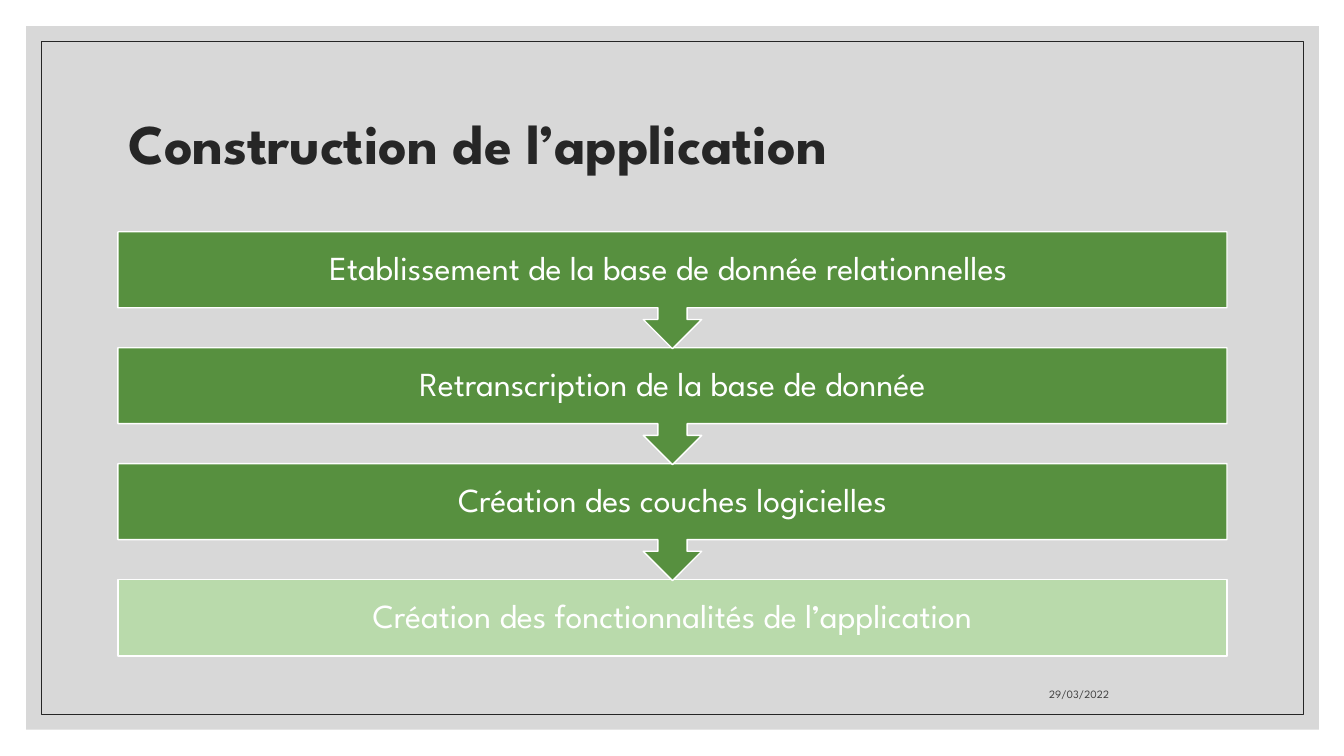
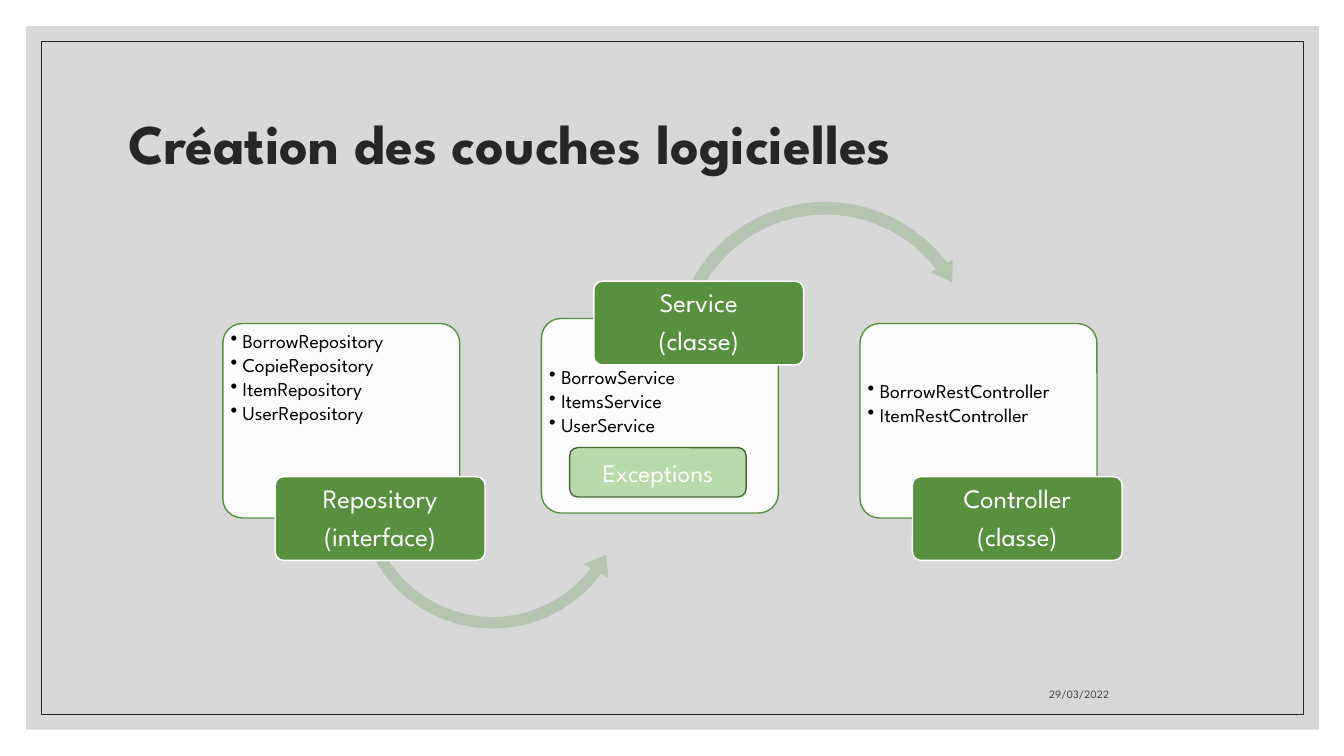
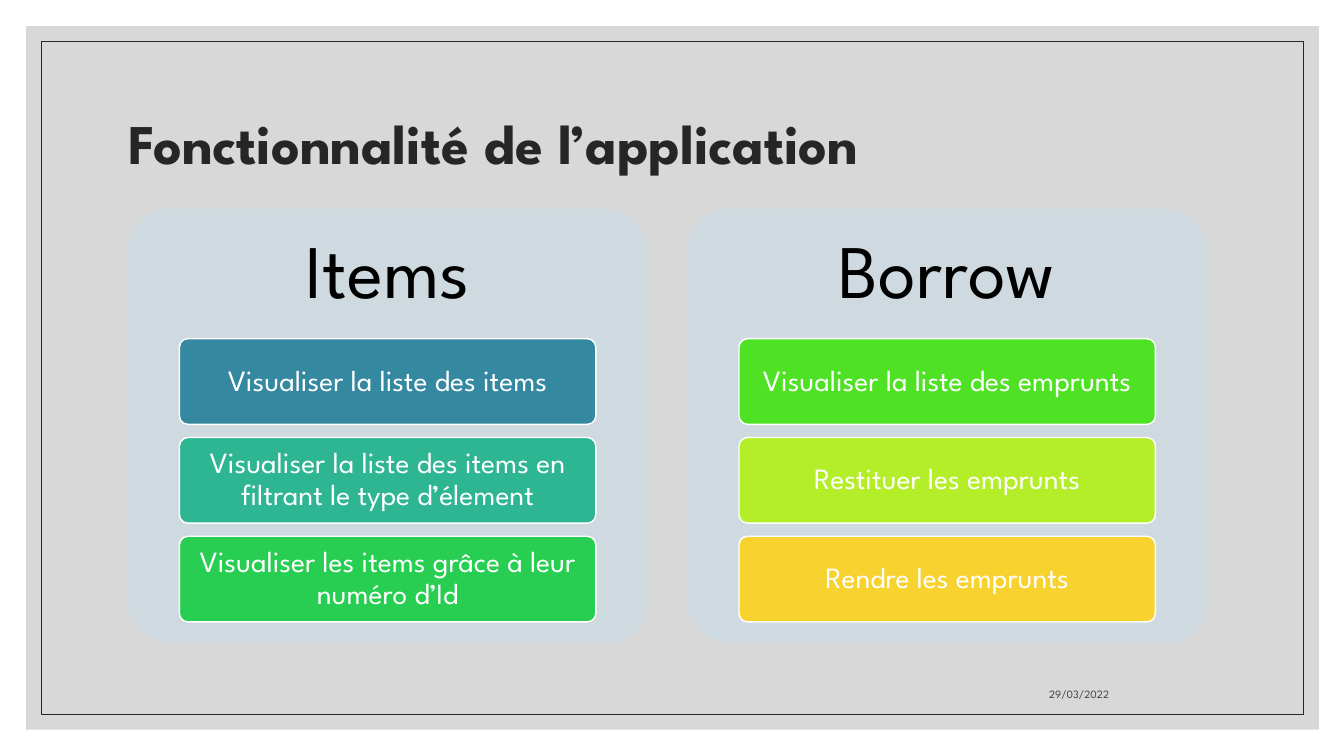
from dataclasses import dataclass

from lxml.etree import SubElement
from pptx import Presentation
from pptx.dml.color import RGBColor
from pptx.enum.shapes import MSO_SHAPE
from pptx.enum.text import MSO_ANCHOR, PP_ALIGN
from pptx.oxml.ns import qn
from pptx.util import Inches, Pt


@dataclass(frozen=True)
class Theme:
    font: str = "League Spartan"
    ink: str = "262626"
    muted: str = "404040"
    black: str = "000000"
    white: str = "FFFFFF"
    backdrop: str = "BFBFBF"
    green: str = "57903F"
    dark_green: str = "406B2F"
    light_green: str = "B9DAAB"
    arrow: str = "B4C6B0"
    panel: str = "CEDADF"
    title_size: int = 40
    heading_size: int = 54
    step_size: int = 24
    button_size: int = 21
    label_size: int = 19
    note_size: int = 18
    list_size: int = 14
    date_size: int = 8
    corner: float = 0.1
    tight: float = 0.9


class Builder:
    def __init__(self, theme, date):
        self.theme = theme
        self.date = date
        self.deck = Presentation()
        self.deck.slide_width = Inches(13.33)
        self.deck.slide_height = Inches(7.5)
        self.layout = self.deck.slide_layouts[5]
        self.page = None

    def add_page(self, title):
        theme = self.theme
        self.page = self.deck.slides.add_slide(self.layout)
        if len(self.deck.slides) == 1:
            self.frame_layout()
        box = self.page.shapes.title
        box.left, box.top, box.width, box.height = map(Inches, (1.17, 0.7, 11, 1.5))
        self.set_text(box, [title], theme.title_size, theme.ink, align=PP_ALIGN.LEFT)
        box.text_frame.paragraphs[0].font.bold = True
        self.text((7.94, 6.6, 3.16, 0.4), self.date, theme.date_size, theme.muted,
                  align=PP_ALIGN.RIGHT, anchor=MSO_ANCHOR.BOTTOM)

    def frame_layout(self):
        """Draw the backdrop and border, then move them to the shared layout."""
        backdrop = self.shape(MSO_SHAPE.RECTANGLE, (0.26, 0.26, 12.82, 6.98),
                              self.theme.backdrop, opacity=60)
        border = self.shape(MSO_SHAPE.RECTANGLE, (0.41, 0.41, 12.52, 6.68),
                            line=self.theme.ink, line_width=0.5)
        for index, part in enumerate((backdrop, border), start=2):
            self.layout.shapes.element.insert(index, part.element)

    def shape(self, kind, place, fill=None, line=None, line_width=1, opacity=100,
              adjustments=()):
        shape = self.page.shapes.add_shape(kind, *map(Inches, place))
        shape.shadow.inherit = False
        for index, value in enumerate(adjustments):
            shape.adjustments[index] = value
        if fill:
            shape.fill.solid()
            shape.fill.fore_color.rgb = RGBColor.from_string(fill)
        else:
            shape.fill.background()
        if opacity < 100:
            color = shape.element.find(f".//{qn('a:solidFill')}/{qn('a:srgbClr')}")
            SubElement(color, qn("a:alpha")).set("val", str(opacity * 1000))
        if line:
            shape.line.color.rgb = RGBColor.from_string(line)
            shape.line.width = Pt(line_width)
        else:
            shape.line.fill.background()
        return shape

    def set_text(self, box, lines, size, color, align=PP_ALIGN.CENTER,
                 anchor=MSO_ANCHOR.MIDDLE, insets=(0.1, 0.05, 0.1, 0.05),
                 spacing=Theme.tight, after=0):
        """Fill a shape with paragraphs; after is a share of the type size."""
        frame = box.text_frame
        frame.word_wrap = True
        frame.vertical_anchor = anchor
        (frame.margin_left, frame.margin_top,
         frame.margin_right, frame.margin_bottom) = map(Inches, insets)
        frame.text = "\n".join(lines)
        for para in frame.paragraphs:
            para.alignment = align
            para.line_spacing = spacing
            para.space_before = Pt(0)
            para.space_after = Pt(size * after)
            para.font.name = self.theme.font
            para.font.size = Pt(size)
            para.font.color.rgb = RGBColor.from_string(color)

    def text(self, place, words, size, color, **style):
        box = self.page.shapes.add_textbox(*map(Inches, place))
        self.set_text(box, [words], size, color, **style)

    def step(self, kind, place, words, fill):
        box = self.shape(kind, place, fill, self.theme.white)
        self.set_text(box, [words], self.theme.step_size, self.theme.white,
                      insets=(0.19,) * 4, after=0.35)

    def tile(self, place, lines, size, fill, insets):
        box = self.shape(MSO_SHAPE.ROUNDED_RECTANGLE, place, fill, self.theme.white,
                         adjustments=[self.theme.corner])
        self.set_text(box, lines, size, self.theme.white, insets=insets, after=0.35)

    def list_card(self, place, items, top_inset):
        theme = self.theme
        card = self.shape(MSO_SHAPE.ROUNDED_RECTANGLE, place, theme.white, theme.green,
                          opacity=90, adjustments=[theme.corner])
        self.set_text(card, items, theme.list_size, theme.black, PP_ALIGN.LEFT,
                      MSO_ANCHOR.TOP, (0.02, top_inset, 0.02, 0.02), after=0.15)
        indent = Inches(0.12)
        for para in card.text_frame.paragraphs:
            properties = para._p.get_or_add_pPr()
            properties.set("marL", str(indent))
            properties.set("indent", str(-indent))
            bullet = SubElement(properties, qn("a:buChar"))
            bullet.set("char", "•")
            properties.find(qn("a:defRPr")).addprevious(bullet)

    def note(self, place, words):
        theme = self.theme
        box = self.shape(MSO_SHAPE.ROUNDED_RECTANGLE, place, theme.light_green,
                         theme.dark_green)
        self.set_text(box, [words], theme.note_size, theme.white, spacing=1)

    def curved_arrow(self, kind, place, adjustments):
        self.shape(kind, place, self.theme.arrow, adjustments=adjustments)

    def panel(self, left, heading, buttons):
        theme = self.theme
        self.shape(MSO_SHAPE.ROUNDED_RECTANGLE, (left, 2.07, 5.17, 4.31), theme.panel,
                   adjustments=[theme.corner])
        self.text((left, 2.07, 5.17, 1.29), heading, theme.heading_size, theme.black,
                  insets=(0.23,) * 4, after=0.35)
        for row, (words, fill) in enumerate(buttons):
            self.tile((left + 0.52, 3.36 + 0.98 * row, 4.13, 0.85), [words],
                      theme.button_size, fill, (0.06, 0.04, 0.06, 0.04))


def build_steps(builder):
    builder.add_page("Construction de l’application")
    steps = [
        "Etablissement de la base de donnée relationnelles ",
        "Retranscription de la base de donnée",
        "Création des couches logicielles",
    ]
    builder.step(MSO_SHAPE.RECTANGLE, (1.17, 5.75, 11, 0.76),
                 "Création des fonctionnalités de l’application",
                 builder.theme.light_green)
    for row, words in reversed(list(enumerate(steps))):
        builder.step(MSO_SHAPE.DOWN_ARROW_CALLOUT, (1.17, 2.3 + 1.15 * row, 11, 1.16),
                     words, builder.theme.green)


def build_layers(builder):
    builder.add_page("Création des couches logicielles")
    arrow_up = (MSO_SHAPE.LEFT_CIRCULAR_ARROW, (3.46, 3.47, 2.85, 2.85),
                (0.04, 5.1, 22.15, 89.54, 0.05))
    arrow_down = (MSO_SHAPE.CIRCULAR_ARROW, (6.61, 1.94, 3.15, 3.15),
                  (0.04, 4.58, 193.67, 125.76, 0.04))
    # card top, top inset, label top, label, items, outgoing arrow
    layers = [
        (3.21, 0.02, 4.73, ["Repository", "(interface)"],
         ["BorrowRepository", "CopieRepository", "ItemRepository", "UserRepository"],
         arrow_up),
        (3.16, 0.43, 2.79, ["Service", "(classe)"],
         ["BorrowService", "ItemsService", "UserService"], arrow_down),
        (3.21, 0.52, 4.73, ["Controller", "(classe)"],
         ["BorrowRestController", "ItemRestController"], None),
    ]
    for column, (top, inset, label_top, label, items, arrow) in enumerate(layers):
        left = 2.21 + 3.16 * column
        builder.list_card((left, top, 2.35, 1.93), items, inset)
        if arrow:
            builder.curved_arrow(*arrow)
        builder.tile((left + 0.52, label_top, 2.08, 0.83), label,
                     builder.theme.label_size, builder.theme.green,
                     (0.04, 0.03, 0.04, 0.03))
    builder.note((5.65, 4.44, 1.75, 0.49), "Exceptions")


def build_features(builder):
    builder.add_page("Fonctionnalité de l’application")
    panels = {
        "Items": [
            ("Visualiser la liste des items", "3488A0"),
            ("Visualiser la liste des items en filtrant le type d’élement", "2EB693"),
            ("Visualiser les items grâce à leur numéro d’Id", "27CE52"),
        ],
        "Borrow": [
            ("Visualiser la liste des emprunts", "4FE224"),
            ("Restituer les emprunts", "B4EE29"),
            ("Rendre les emprunts", "F8D22F"),
        ],
    }
    for column, (heading, buttons) in enumerate(panels.items()):
        builder.panel(1.26 + 5.55 * column, heading, buttons)


def main():
    builder = Builder(Theme(), "29/03/2022")
    build_steps(builder)
    build_layers(builder)
    build_features(builder)
    builder.deck.save("out.pptx")


if __name__ == "__main__":
    main()
